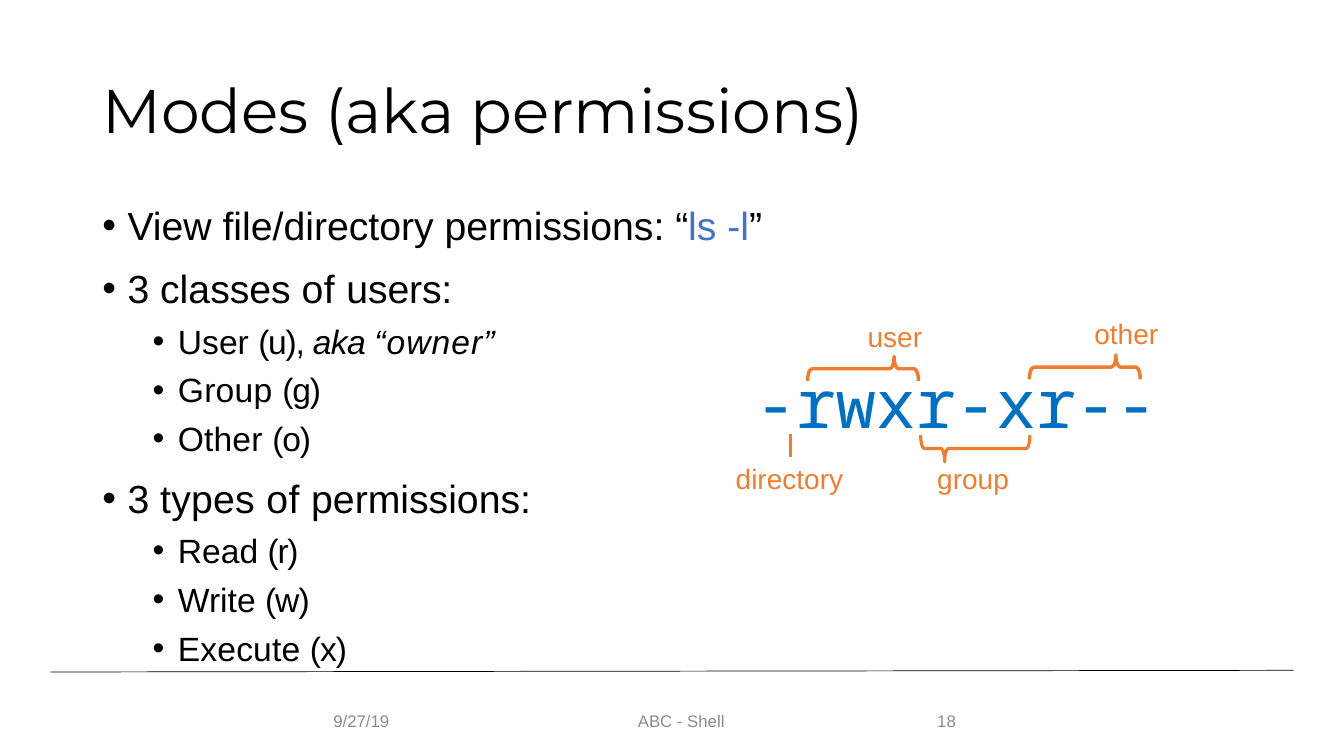
"""Build a slide on file modes with a bulleted list and an annotated mode string."""
from lxml import etree
from pptx import Presentation
from pptx import util as u
from pptx.dml.color import RGBColor
from pptx.enum import shapes, text
from pptx.oxml import ns

BLACK = RGBColor(0x00, 0x00, 0x00)
WHITE = RGBColor(0xFF, 0xFF, 0xFF)
GREY = RGBColor(0x8C, 0x8C, 0x8C)
BLUE = RGBColor(0x44, 0x72, 0xC4)
MODE_BLUE = RGBColor(0x00, 0x70, 0xC0)
ORANGE = RGBColor(0xED, 0x7D, 0x31)

prs = Presentation()
prs.slide_width, prs.slide_height = u.Inches(13.33), u.Inches(7.5)
COL, ROW = prs.slide_width / 160, prs.slide_height / 90
s = prs.slides.add_slide(prs.slide_layouts[5])


def box(x, y, w, h):
    return int(x * COL), int(y * ROW), int(w * COL), int(h * ROW)


def add_run(p, words, size, color, font="Arial", spacing=0, italic=False):
    r = p.add_run()
    r.text = words
    r.font.size, r.font.name, r.font.italic = u.Pt(size), font, italic
    r.font.color.rgb = color
    r.font._element.set("spc", str(round(spacing * 100)))


lines = [
    (6, 80, 154, 79.8, BLACK, 0.5),
    (94.1, 54.4, 94.1, 51.7, ORANGE, 2.5),
]

title = s.shapes.title
title.left, title.top, title.width, title.height = box(11, 4.8, 138, 17.4)
tf = title.text_frame
tf.vertical_anchor = text.MSO_ANCHOR.MIDDLE
p = tf.paragraphs[0]
p.alignment, p.line_spacing = text.PP_ALIGN.LEFT, 0.9
add_run(p, "Modes (aka permissions)", 44, BLACK, "Montserrat")

footers = [
    (38.5, 10.7, "9/27/19", text.PP_ALIGN.LEFT),
    (54.1, 54, "ABC - Shell", text.PP_ALIGN.CENTER),
    (110.4, 11.5, "18", text.PP_ALIGN.LEFT),
]
for x, w, words, align in footers:
    tf = s.shapes.add_textbox(*box(x, 83.4, w, 4.8)).text_frame
    tf.word_wrap, tf.vertical_anchor = True, text.MSO_ANCHOR.MIDDLE
    tf.paragraphs[0].alignment = align
    add_run(tf.paragraphs[0], words, 12, GREY)

bullets = [
    (0, [("View file/directory permissions: “", 0), ("ls -l", 0, BLUE), ("”", 0)]),
    (0, [("3 classes ", 0), ("of ", 0.3), ("users:", -0.1)]),
    (1, [("User ", 0), ("(u), ", -0.9), ("aka ", -0.5, BLACK, True),
         ("“owner”", 0.8, BLACK, True)]),
    (1, [("Group ", 0.2), ("(g)", -0.8)]),
    (1, [("Other ", 0.1), ("(o)", -0.8)]),
    (0, [("3 ", 0), ("types ", 0.2), ("of ", 0.3), ("permissions:", 0)]),
    (1, [("Read ", 0), ("(r)", -0.9)]),
    (1, [("Write ", 0), ("(w)", -0.7)]),
    (1, [("Execute ", 0.1), ("(x)", -0.8)]),
]
tf = s.shapes.add_textbox(*box(11, 24, 138, 54.6)).text_frame
tf.word_wrap = True
for i, (level, runs) in enumerate(bullets):
    p = tf.add_paragraph() if i else tf.paragraphs[0]
    p.level = level
    p.line_spacing = 1.04 if i else 0.9
    p.space_before = u.Pt(5 if level else 10)
    pPr = p._p.get_or_add_pPr()
    pPr.set("marL", str(u.Inches(0.25 + 0.5 * level)))
    pPr.set("indent", str(u.Inches(-0.25)))
    etree.SubElement(pPr, ns.qn("a:buFont")).set("typeface", "Arial")
    etree.SubElement(pPr, ns.qn("a:buChar")).set("char", "•")
    for words, spacing, *style in runs:
        color, italic = style + [BLACK, False][len(style):]
        add_run(p, words, 24 if level else 28, color, spacing=spacing, italic=italic)

sp = s.shapes.add_shape(shapes.MSO_SHAPE.RECTANGLE, *box(88, 42.4, 51.6, 10.9))
sp.shadow.inherit = False
sp.fill.solid()
sp.fill.fore_color.rgb = WHITE
sp.line.fill.background()
tf = sp.text_frame
tf.word_wrap, tf.vertical_anchor = True, text.MSO_ANCHOR.MIDDLE
tf.paragraphs[0].alignment = text.PP_ALIGN.CENTER
add_run(tf.paragraphs[0], "-rwxr-xr--", 48, MODE_BLUE, "Noto Sans Mono", -0.2)

braces = [
    (101.3, 37.3, 2.9, 13.2, 270, 0.18, 2.5),
    (114.5, 46.9, 3.2, 13, 90, 0.13, 2.25),
    (127.7, 37.1, 2.9, 13.2, 270, 0.18, 2.5),
]
for x, y, w, h, turn, curve, weight in braces:
    sp = s.shapes.add_shape(shapes.MSO_SHAPE.RIGHT_BRACE, *box(x, y, w, h))
    sp.shadow.inherit = False
    sp.rotation = turn
    sp.adjustments[0], sp.adjustments[1] = curve, 0.78
    sp.fill.background()
    sp.line.color.rgb, sp.line.width = ORANGE, u.Pt(weight)

labels = [
    (102.1, 37.4, 9, "user"),
    (110.4, 54.4, 11, "group"),
    (129.1, 37.1, 10.1, "other"),
    (86.4, 54.4, 15.4, "directory"),
]
for x, y, w, words in labels:
    tf = s.shapes.add_textbox(*box(x, y, w, 5.3)).text_frame
    tf.word_wrap = False
    add_run(tf.paragraphs[0], words, 20, ORANGE)

for x1, y1, x2, y2, color, weight in lines:
    ln = s.shapes.add_connector(shapes.MSO_CONNECTOR.STRAIGHT, *box(x1, y1, x2, y2))
    ln.line.color.rgb, ln.line.width = color, u.Pt(weight)
    etree.SubElement(ln._element.spPr, ns.qn("a:effectLst"))

prs.save("out.pptx")
